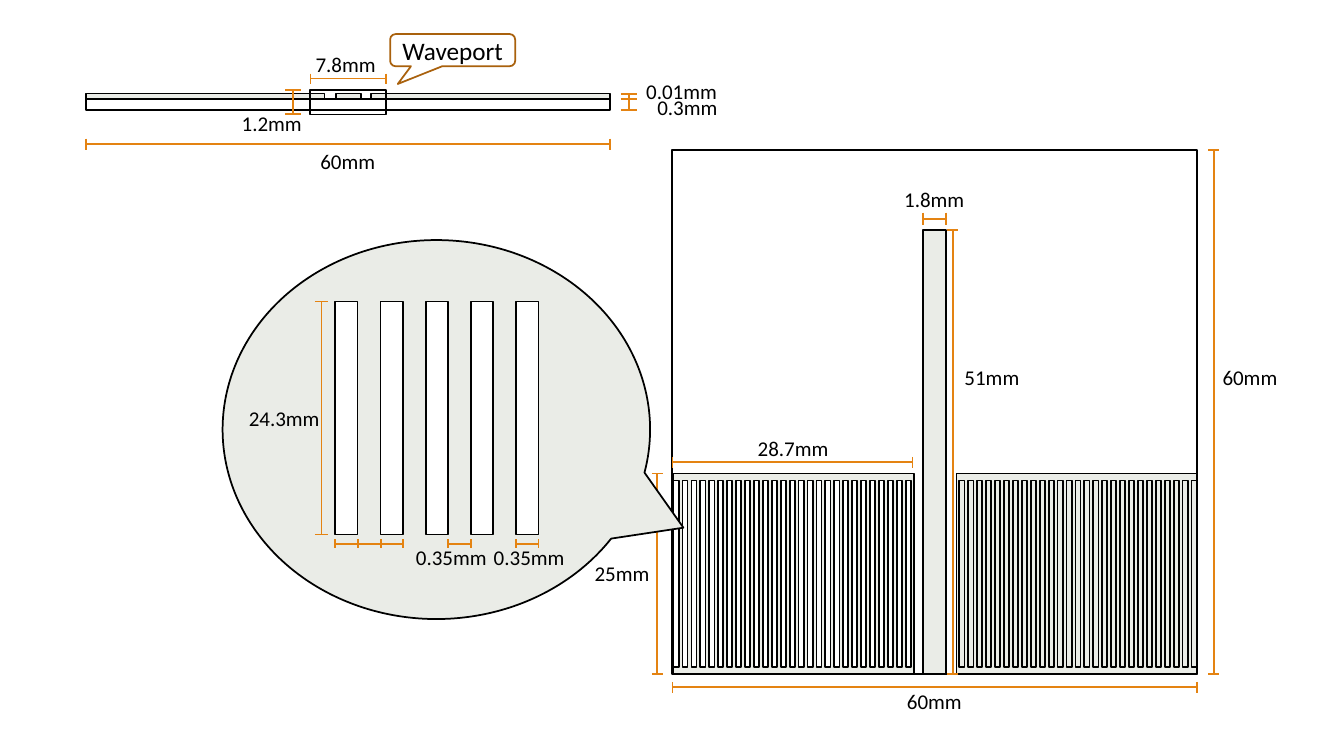
from dataclasses import dataclass

from lxml import etree
from pptx import Presentation
from pptx.dml.color import RGBColor
from pptx.enum.shapes import MSO_CONNECTOR, MSO_SHAPE
from pptx.enum.text import MSO_ANCHOR, MSO_AUTO_SIZE, PP_ALIGN
from pptx.oxml.ns import qn
from pptx.util import Cm, Pt

RECT = MSO_SHAPE.RECTANGLE
BUBBLE = MSO_SHAPE.OVAL_CALLOUT
NOTE = MSO_SHAPE.ROUNDED_RECTANGULAR_CALLOUT
STRAIGHT = MSO_CONNECTOR.STRAIGHT
MIDDLE = MSO_ANCHOR.MIDDLE
GROW = MSO_AUTO_SIZE.SHAPE_TO_FIT_TEXT
CENTER = PP_ALIGN.CENTER


@dataclass(frozen=True)
class Theme:
    ink: RGBColor = RGBColor(0, 0, 0)
    white: RGBColor = RGBColor(255, 255, 255)
    metal: RGBColor = RGBColor(0xEA, 0xEC, 0xE7)
    gauge: RGBColor = RGBColor(0xE4, 0x83, 0x12)
    brown: RGBColor = RGBColor(0xA9, 0x61, 0x0D)
    font: str = "Calibri"
    small: int = 15
    large: int = 18
    stroke: float = 1.25


THEME = Theme()
# Label box width in cm by number of characters
WIDTHS = {4: 1.9, 5: 2.06, 6: 2.31}


def apply(target, values):
    for name, value in values.items():
        setattr(target, name, value)


def write(frame, text, size):
    part = frame.paragraphs[0]
    part.text = text
    apply(part.font, {"name": THEME.font, "size": Pt(size)})
    part.font.color.rgb = THEME.ink
    return part


def block(slide, x, y, w, h, fill, kind=RECT, line=THEME.ink, adjust=()):
    shape = slide.shapes.add_shape(kind, Cm(x), Cm(y), Cm(w), Cm(h))
    shape.shadow.inherit = False
    if fill is None:
        shape.fill.background()
    else:
        shape.fill.solid()
        shape.fill.fore_color.rgb = fill
    shape.line.color.rgb = line
    shape.line.width = Pt(THEME.stroke)
    for index, value in enumerate(adjust):
        shape.adjustments[index] = value
    return shape


def stroke(slide, x1, y1, x2, y2):
    line = slide.shapes.add_connector(STRAIGHT, Cm(x1), Cm(y1), Cm(x2), Cm(y2))
    line.line.color.rgb = THEME.gauge
    line.line.width = Pt(THEME.stroke)
    etree.SubElement(line._element.spPr, qn("a:effectLst"))


def across(slide, x1, x2, y, tick=0.28, ends=(0, 1)):
    """Level gauge with upright end ticks."""
    for end in ends:
        x = (x1, x2)[end]
        stroke(slide, x, y - tick / 2, x, y + tick / 2)
    stroke(slide, x1, y, x2, y)


def upright(slide, x, y1, y2, tick=0.28, ends=(0, 1)):
    """Upright gauge with level end ticks."""
    for end in ends:
        y = (y1, y2)[end]
        stroke(slide, x - tick / 2, y, x + tick / 2, y)
    stroke(slide, x, y1, x, y2)


def labels(slide, x, y, items):
    for text, dx, dy in items:
        box = slide.shapes.add_textbox(Cm(x + dx), Cm(y + dy),
                                       Cm(WIDTHS[len(text)]), Cm(0.89))
        apply(box.text_frame, {"word_wrap": False, "auto_size": GROW})
        write(box.text_frame, text, THEME.small)


def side_view(slide, x, y, w):
    # Board, three metal strips and the port frame
    film, depth, port = 0.13, 0.28, 1.9
    base = y + film + depth
    left = x + 5.66
    block(slide, x, y + film, w, depth, THEME.white)
    for dx, width in ((6.3, 0.64), (0, 6.02), (w - 6.02, 6.02)):
        block(slide, x + dx, y, width, film, THEME.metal)
    block(slide, left, y - 0.1, port, 0.63, None)

    # Gauges
    across(slide, x, x + w, y + 1.27)
    across(slide, left, left + port, y - 0.38, 0.25)
    upright(slide, x + 5.23, y - 0.1, y + 0.51, 0.41)
    upright(slide, x + w + 0.48, y, y + film, 0.41)
    upright(slide, x + w + 0.48, y + film, base, 0.41, (1,))
    labels(slide, x, y, (("60mm", 5.66, 1.27), ("0.3mm", 14.15, -0.1),
                         ("0.01mm", 13.87, -0.51), ("7.8mm", 5.54, -1.19),
                         ("1.2mm", 3.68, 0.3)))

    # Port note
    note = block(slide, x + 7.67, y - 1.5, 3.15, 0.81, None, NOTE,
                 THEME.brown, (-0.439, 1.052, 0.167))
    apply(note.text_frame, {"vertical_anchor": MIDDLE, "word_wrap": True})
    write(note.text_frame, "Waveport", THEME.large).alignment = CENTER


def ground(slide, x, y, w, h, inset, fill):
    """Metal plane with evenly spaced slots."""
    count, slot, rim, spare = 27, 0.13, 0.18, 0.07
    pitch = (w - spare - slot) / (count - 1)
    block(slide, x, y, w, h, THEME.metal)
    for index in range(count):
        block(slide, x + inset + index * pitch, y + rim, slot, h - 2 * rim, fill)


def plan_view(slide, x, y, side):
    # Board, feed strip and two ground planes
    strip, top, width = x + 6.32, y + 2.01, 0.58
    plane, floor = y + 8.15, y + side
    span = 6.05
    block(slide, x, y, side, side, THEME.white)
    block(slide, strip, top, width, floor - top, THEME.metal)
    ground(slide, x + 0.03, plane, span, floor - plane, 0, THEME.white)
    ground(slide, x + side - span, plane, span, floor - plane, 0.07, THEME.metal)

    # Gauges
    across(slide, x, x + side, floor + 0.33)
    across(slide, strip, strip + width, y + 1.73, 0.3)
    across(slide, x, x + span, plane - 0.28)
    upright(slide, x + side + 0.43, y, floor)
    upright(slide, strip + width + 0.16, top, floor)
    upright(slide, x - 0.38, plane, floor)
    labels(slide, x, y, (("60mm", 5.66, 13.44), ("60mm", 13.61, 5.28),
                         ("51mm", 7.11, 5.28), ("1.8mm", 5.59, 0.79),
                         ("25mm", -2.21, 10.21), ("28.7mm", 1.9, 7.06)))


def zoom_view(slide, x, y, w, h):
    # Bubble and five slots
    block(slide, x, y, w, h, THEME.metal, BUBBLE, adjust=(0.578, 0.259))
    slot, pitch, tall, top = 0.56, 1.14, 5.87, y + 1.55
    lefts = [x + 2.84 + index * pitch for index in range(5)]
    for left in lefts:
        block(slide, left, top, slot, tall, THEME.white)

    # Gauges
    first, second, third, fourth, fifth = lefts
    for start, stop, ends in ((first, first + slot, (0,)),
                              (first + slot, second, (0,)),
                              (second, second + slot, (0, 1)),
                              (third + slot, fourth, (0, 1)),
                              (fifth, fifth + slot, (0, 1))):
        across(slide, start, stop, y + 7.65, 0.23, ends)
    upright(slide, x + 2.49, top, top + tall, 0.33)
    labels(slide, x, y, (("0.35mm", 6.58, 7.54), ("0.35mm", 4.62, 7.54),
                         ("24.3mm", 0.41, 4.04)))


def main():
    deck = Presentation()
    apply(deck, {"slide_width": Cm(33.86), "slide_height": Cm(19.05)})
    slide = deck.slides.add_slide(deck.slide_layouts[6])
    side_view(slide, 2.16, 2.36, 13.21)
    plan_view(slide, 16.94, 3.78, 13.21)
    zoom_view(slide, 5.61, 6.05, 10.77, 9.55)
    deck.save("out.pptx")


if __name__ == "__main__":
    main()
